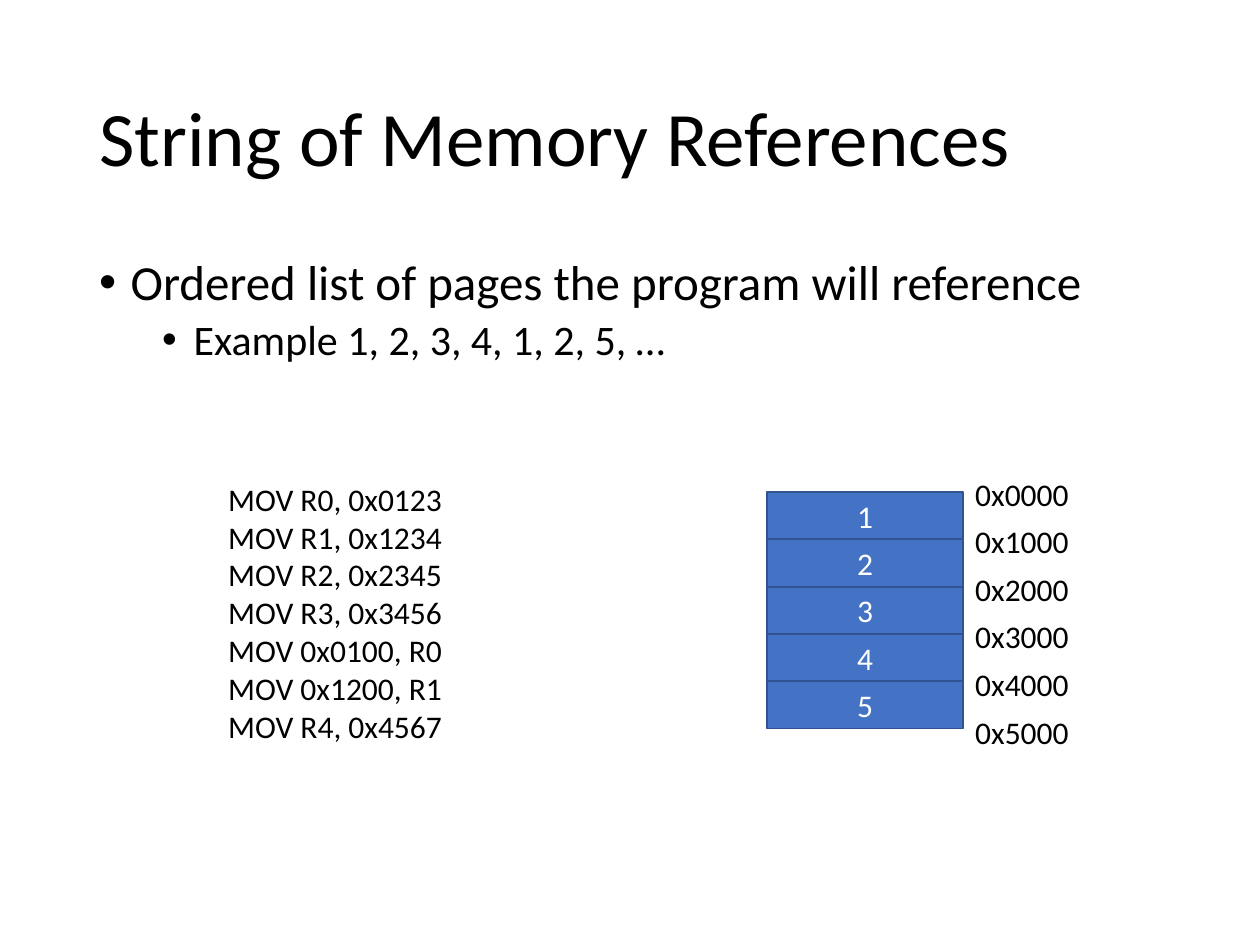
import lxml.etree
import pptx
import pptx.dml.color
import pptx.enum.shapes
import pptx.enum.text
import pptx.oxml.ns
import pptx.util
from pptx.util import Cm

ALIGN = pptx.enum.text.PP_ALIGN
ANCHOR = pptx.enum.text.MSO_ANCHOR
INSTRUCTIONS = [
    "MOV R0, 0x0123",
    "MOV R1, 0x1234",
    "MOV R2, 0x2345",
    "MOV R3, 0x3456",
    "MOV 0x0100, R0",
    "MOV 0x1200, R1",
    "MOV R4, 0x4567",
]
PAGES = 5


def color(hex_code):
    return pptx.dml.color.RGBColor.from_string(hex_code)


def add_run(p, text, size, hex_code="000000"):
    r = p.add_run()
    r.text = text
    r.font.name = "Calibri"
    r.font.size = pptx.util.Pt(size)
    r.font.color.rgb = color(hex_code)


def add_bullet(p, level):
    p.level = level
    pPr = p._p.get_or_add_pPr()
    pPr.set("marL", str(Cm(0.635 + 1.27 * level)))
    pPr.set("indent", str(-Cm(0.635)))
    for tag, name, value in (("a:buFont", "typeface", "Arial"), ("a:buChar", "char", "•")):
        lxml.etree.SubElement(pPr, pptx.oxml.ns.qn(tag)).set(name, value)


def add_textbox(s, left, top, width, height):
    tf = s.shapes.add_textbox(left, top, width, height).text_frame
    tf.word_wrap = True
    return tf


def set_title(s, left, top, width, height):
    sp = s.shapes.title
    sp.left, sp.top, sp.width, sp.height = left, top, width, height
    tf = sp.text_frame
    tf.vertical_anchor = ANCHOR.MIDDLE
    tf.auto_size = pptx.enum.text.MSO_AUTO_SIZE.NONE
    p = tf.paragraphs[0]
    p.alignment = ALIGN.LEFT
    p.line_spacing = 0.9
    add_run(p, "String of Memory References", 44)


def add_body(s, left, top, width, height):
    tf = add_textbox(s, left, top, width, height)
    items = [
        ("Ordered list of pages the program will reference", 28),
        ("Example 1, 2, 3, 4, 1, 2, 5, …", 24),
    ]
    for level, (text, size) in enumerate(items):
        p = tf.add_paragraph() if level else tf.paragraphs[0]
        add_bullet(p, level)
        p.line_spacing = 0.9
        if level:
            p.space_before = pptx.util.Pt(5)
        add_run(p, text, size)


def add_instructions(s, left, top, width, height):
    tf = add_textbox(s, left, top, width, height)
    for i, text in enumerate(INSTRUCTIONS):
        p = tf.add_paragraph() if i else tf.paragraphs[0]
        add_run(p, text, 18)


def add_page(s, number, left, top, width, height):
    sp = s.shapes.add_shape(pptx.enum.shapes.MSO_SHAPE.RECTANGLE, left, top, width, height)
    sp.shadow.inherit = False
    sp.fill.solid()
    sp.fill.fore_color.rgb = color("4472C4")
    sp.line.color.rgb = color("31538F")
    sp.line.width = pptx.util.Pt(1)
    tf = sp.text_frame
    tf.vertical_anchor = ANCHOR.MIDDLE
    p = tf.paragraphs[0]
    p.alignment = ALIGN.CENTER
    add_run(p, str(number), 18, "FFFFFF")


def add_memory_map(s, left, top, width, height):
    """Stack of pages, with an address label beside each boundary."""
    row = height // PAGES
    for i in range(PAGES):
        add_page(s, i + 1, left, top + i * row, width, row)
    for i in range(PAGES + 1):
        label_top = top - Cm(0.66) + i * Cm(0.96)
        tf = add_textbox(s, left + width, label_top, Cm(2.41), Cm(1.14))
        p = tf.paragraphs[0]
        p.line_spacing = 1.24
        add_run(p, f"0x{i}000", 18)


def main():
    prs = pptx.Presentation()
    prs.slide_width, prs.slide_height = Cm(25.4), Cm(19.05)
    s = prs.slides.add_slide(prs.slide_layouts.get_by_name("Title Only"))
    set_title(s, Cm(1.75), Cm(1.01), Cm(21.9), Cm(3.68))
    add_body(s, Cm(1.75), Cm(5.07), Cm(21.9), Cm(4.45))
    add_instructions(s, Cm(4.35), Cm(9.55), Cm(4.93), Cm(5.64))
    add_memory_map(s, Cm(15.47), Cm(9.92), Cm(3.94), Cm(4.77))
    prs.save("out.pptx")


if __name__ == "__main__":
    main()
